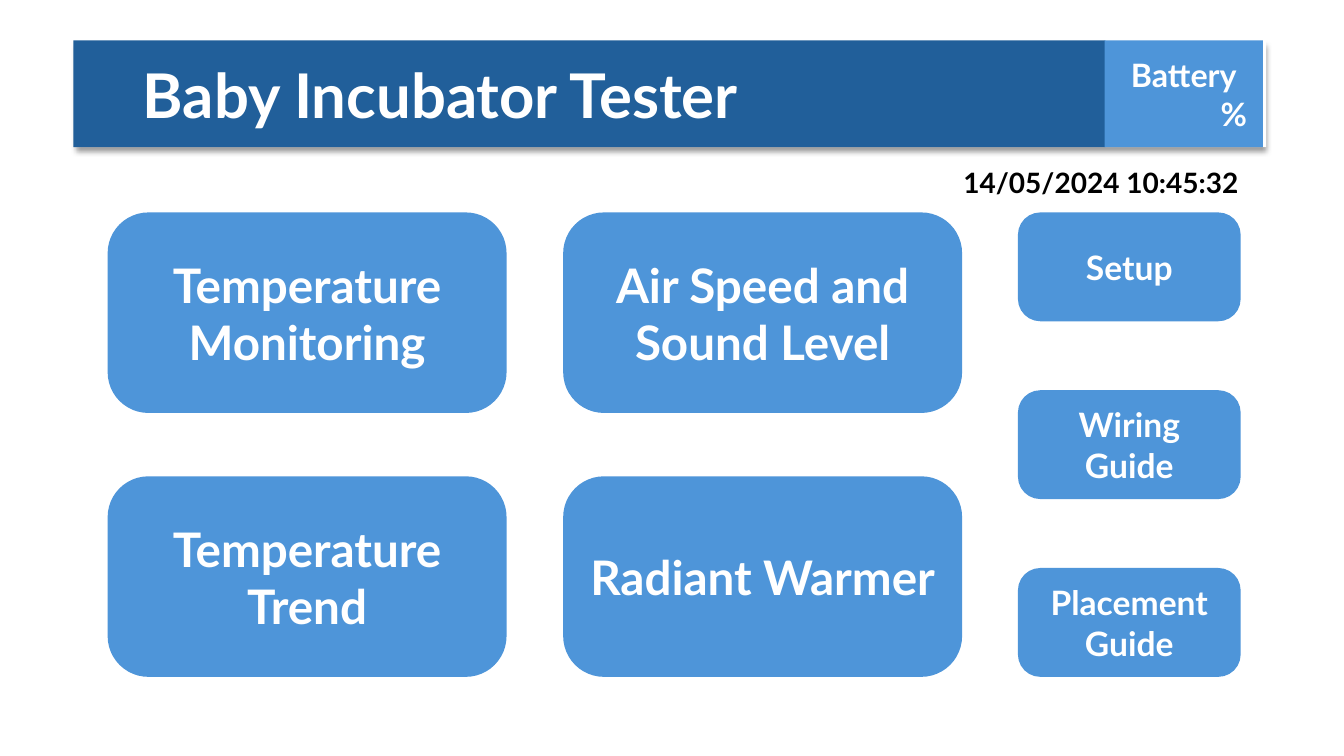
from itertools import product

from lxml.etree import SubElement
from pptx import Presentation
from pptx.dml.color import RGBColor as RGB
from pptx.enum.shapes import MSO_SHAPE as Geo
from pptx.enum.text import MSO_ANCHOR as Anchor, MSO_AUTO_SIZE as Fit, PP_ALIGN as Align
from pptx.oxml.ns import qn
from pptx.util import Cm, Pt

FONT = "Lato"
HUES = {"dark": "215F9A", "blue": "4E95D9", "white": "FFFFFF", "black": "000000"}
MAIN = ["Temperature Monitoring", "Temperature Trend",
        "Air Speed and Sound Level", "Radiant Warmer"]
SIDE = ["Setup", "Wiring Guide", "Placement Guide"]


def hue(name):
    """Return the named colour."""
    return RGB.from_string(HUES[name])


def paint(shape, name):
    """Fill a shape with one colour."""
    shape.fill.solid()
    shape.fill.fore_color.rgb = hue(name)


def place(shape, box):
    """Move and size a shape, with lengths in centimetres."""
    shape.left, shape.top, shape.width, shape.height = map(Cm, box)


def write(par, text, size, tone="white", align=Align.CENTER):
    """Add one bold run to a paragraph."""
    par.alignment = align
    run = par.add_run()
    run.text = text
    font = run.font
    font.name, font.size, font.bold = FONT, Pt(size), True
    font.color.rgb = hue(tone)


def block(slide, box, name, geo=Geo.RECTANGLE):
    """Add a flat filled shape with no outline."""
    shape = slide.shapes.add_shape(geo, *map(Cm, box))
    shape.shadow.inherit = False
    paint(shape, name)
    shape.line.fill.background()
    shape.text_frame.vertical_anchor = Anchor.MIDDLE
    return shape


def button(slide, box, text, size):
    """Add a rounded menu button."""
    shape = block(slide, box, "blue", Geo.ROUNDED_RECTANGLE)
    shape.adjustments[0] = 0.2
    shape.line.color.rgb = hue("blue")
    shape.line.width = Pt(1.5)
    write(shape.text_frame.paragraphs[0], text, size)


def shade(shape):
    """Cast a soft shadow straight down."""
    list_ = shape.element.spPr.find(qn("a:effectLst"))
    cast = SubElement(list_, qn("a:outerShdw"), blurRad=str(Pt(4)),
                      dist=str(Pt(3)), dir="5400000", algn="t", rotWithShape="0")
    tone = SubElement(cast, qn("a:srgbClr"), val=HUES["black"])
    SubElement(tone, qn("a:alpha"), val="40000")


def header(slide):
    """Build the title bar and the battery box."""
    title = slide.shapes.title
    bar = block(slide, (1.91, 1.02, 30, 2.69), "white")
    shade(bar)
    title.element.addprevious(bar.element)
    place(title, (1.85, 1.02, 26.01, 2.69))
    paint(title, "dark")
    frame = title.text_frame
    frame.auto_size = Fit.NONE
    frame.vertical_anchor = Anchor.MIDDLE
    frame.margin_left = Cm(1.75)
    write(frame.paragraphs[0], "Baby Incubator Tester", 44, align=Align.LEFT)
    frame = block(slide, (27.84, 1.02, 3.99, 2.69), "blue").text_frame
    frame.margin_left = frame.margin_right = Cm(0.4)
    write(frame.paragraphs[0], "Battery", 23)
    write(frame.add_paragraph(), "%", 23, align=Align.RIGHT)


def clock(slide):
    """Add the date and time."""
    box = slide.shapes.add_textbox(*map(Cm, (24.03, 4.04, 7.67, 1.12)))
    frame = box.text_frame
    frame.word_wrap = False
    frame.auto_size = Fit.SHAPE_TO_FIT_TEXT
    write(frame.paragraphs[0], "14/05/2024 10:45:32", 20, "black", Align.LEFT)


def main():
    """Build and save the menu slide."""
    deck = Presentation()
    deck.slide_width, deck.slide_height = Cm(33.87), Cm(19.05)
    slide = deck.slides.add_slide(deck.slide_layouts[5])
    for row, text in enumerate(SIDE):
        button(slide, (25.68, 5.38 + 4.48 * row, 5.56, 2.69), text, 24)
    for (col, row), text in zip(product(range(2), repeat=2), MAIN):
        button(slide, (2.74 + 11.48 * col, 5.38 + 6.65 * row, 10, 5), text, 34)
    header(slide)
    clock(slide)
    deck.save("out.pptx")


if __name__ == "__main__":
    main()
